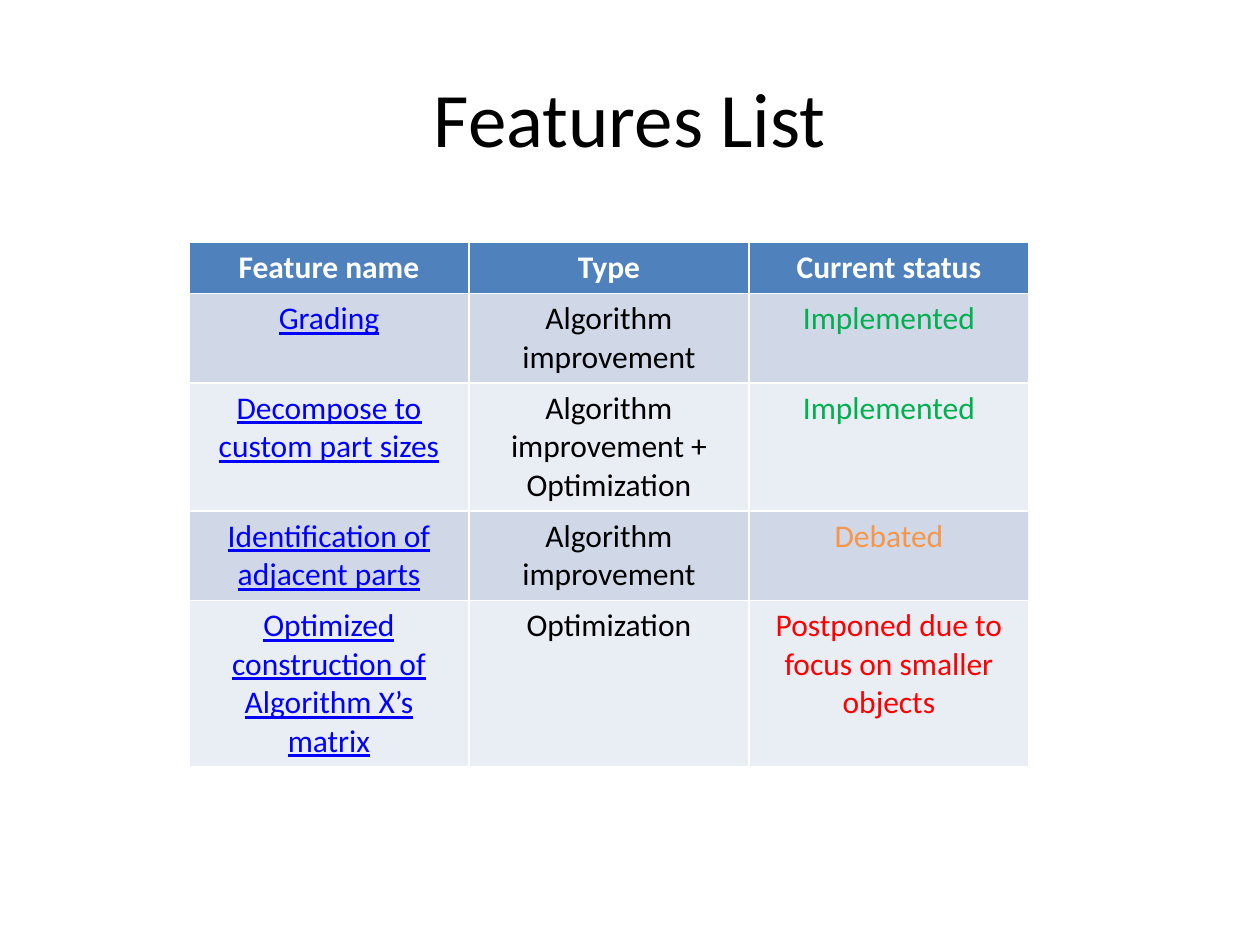
"""Build a features list slide with a title and a status table."""
from dataclasses import dataclass

from pptx import Presentation
from pptx.dml.color import RGBColor
from pptx.enum.text import MSO_ANCHOR, PP_ALIGN
from pptx.util import Inches, Pt

SLIDE_W, SLIDE_H = Inches(10), Inches(7.5)
COLORS = {
    "black": "000000",
    "white": "FFFFFF",
    "header": "4F81BD",
    "odd": "D0D8E8",
    "even": "E9EDF4",
    "link": "0000FF",
    "done": "00B050",
    "debated": "F79646",
    "postponed": "FF0000",
}


@dataclass(frozen=True)
class Feature:
    name: str
    kind: str
    status: str
    status_color: str


HEADINGS = ("Feature name", "Type", "Current status")
FEATURES = (
    Feature("Grading", "Algorithm improvement", "Implemented", "done"),
    Feature("Decompose to custom part sizes",
            "Algorithm improvement + Optimization", "Implemented", "done"),
    Feature("Identification of adjacent parts",
            "Algorithm improvement", "Debated", "debated"),
    Feature("Optimized construction of Algorithm X’s matrix", "Optimization",
            "Postponed due to focus on smaller objects", "postponed"),
)


def rgb(name: str) -> RGBColor:
    return RGBColor.from_string(COLORS[name])


def write(tf, text: str, *, size: float = 18, color: str = "black",
          bold: bool = False, underline: bool = False) -> None:
    p = tf.paragraphs[0]
    p.alignment = PP_ALIGN.CENTER
    r = p.add_run()
    r.text = text
    font = r.font
    font.name, font.size = "Calibri", Pt(size)
    font.bold, font.underline = bold, underline
    font.color.rgb = rgb(color)


def fill_cell(cell, text: str, fill: str, **fmt) -> None:
    cell.fill.solid()
    cell.fill.fore_color.rgb = rgb(fill)
    write(cell.text_frame, text, **fmt)


def add_title(s, text: str) -> None:
    sp = s.shapes.title
    sp.left, sp.top = int(SLIDE_W * 0.05), int(SLIDE_H * 0.04)
    sp.width, sp.height = int(SLIDE_W * 0.9), Inches(1.25)
    sp.text_frame.vertical_anchor = MSO_ANCHOR.MIDDLE
    write(sp.text_frame, text, size=44)


def add_features(s, features: tuple[Feature, ...]) -> None:
    frame = s.shapes.add_table(
        len(features) + 1, len(HEADINGS), int(SLIDE_W * 0.15), Inches(1.92),
        int(SLIDE_W * 2 / 3), Inches(4.11))
    table = frame.table
    for row in table.rows:
        row.height = Inches(0.41)
    frame.height = Inches(4.11)
    for col, heading in enumerate(HEADINGS):
        fill_cell(table.cell(0, col), heading, "header", color="white", bold=True)
    for row, feature in enumerate(features, 1):
        fill = "odd" if row % 2 else "even"
        fill_cell(table.cell(row, 0), feature.name, fill, color="link", underline=True)
        fill_cell(table.cell(row, 1), feature.kind, fill)
        fill_cell(table.cell(row, 2), feature.status, fill, color=feature.status_color)


def main() -> None:
    prs = Presentation()
    prs.slide_width, prs.slide_height = SLIDE_W, SLIDE_H
    s = prs.slides.add_slide(prs.slide_layouts[5])
    add_title(s, "Features List")
    add_features(s, FEATURES)
    prs.save("out.pptx")


if __name__ == "__main__":
    main()
